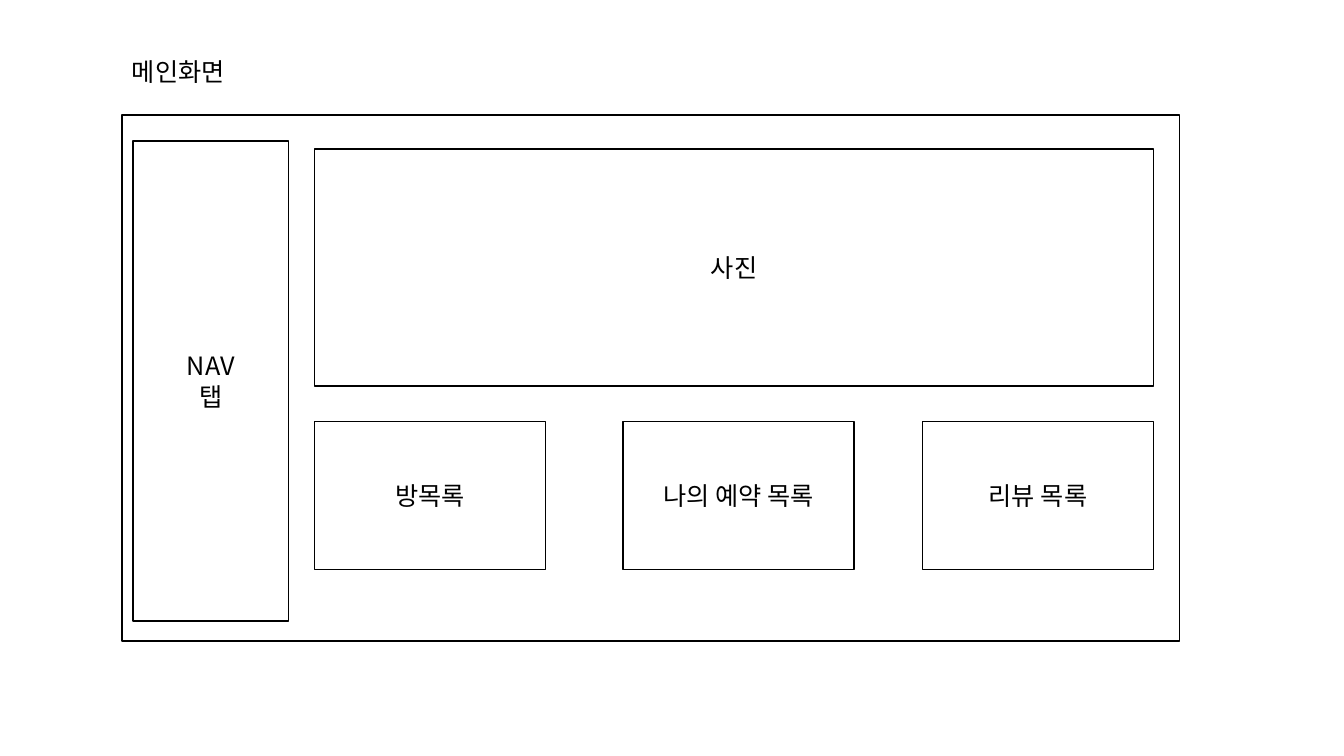
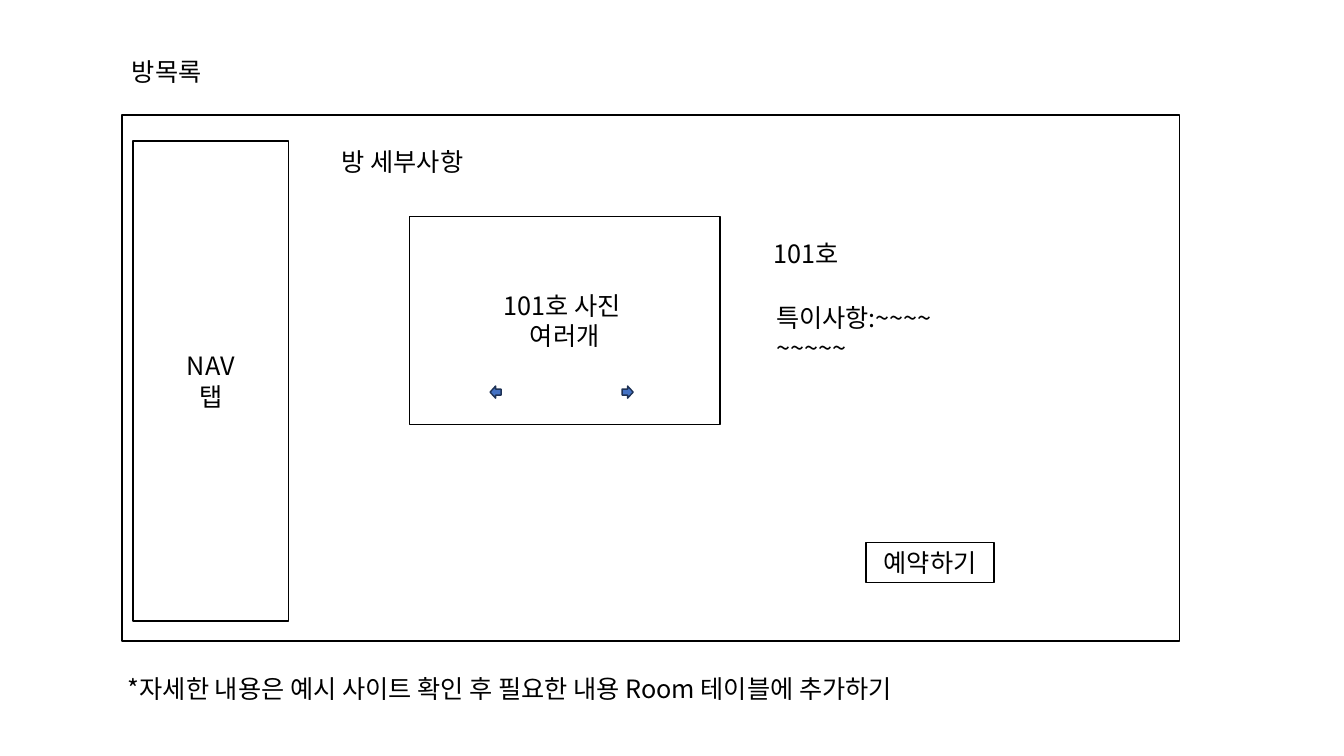
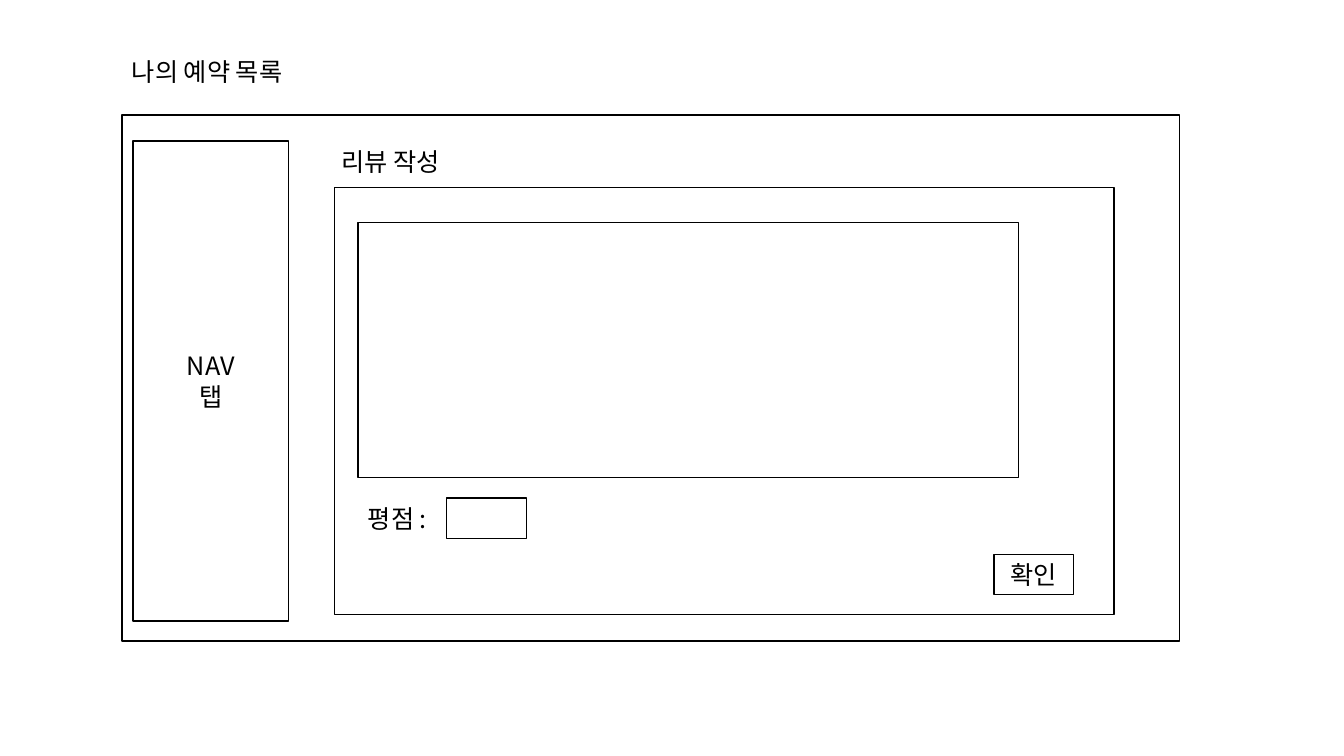
import pptx
import pptx.util
import pptx.dml.color
import pptx.enum.shapes
import pptx.enum.text
import pptx.oxml.ns
import lxml.etree

Inches = pptx.util.Inches
Pt = pptx.util.Pt
RGBColor = pptx.dml.color.RGBColor
SHAPE = pptx.enum.shapes.MSO_SHAPE
ALIGN = pptx.enum.text.PP_ALIGN
ANCHOR = pptx.enum.text.MSO_ANCHOR
FIT = pptx.enum.text.MSO_AUTO_SIZE

FONT = "Noto Sans CJK KR"
BLACK = RGBColor(0x00, 0x00, 0x00)
BLUE = RGBColor(0x44, 0x72, 0xC4)
NAVY = RGBColor(0x1E, 0x32, 0x56)

FRAME = (1.21, 1.14, 10.49, 5.22)
NAV = (1.32, 1.4, 1.54, 4.76)
ROW = 0.4

CARDS = [(3.12, "방목록"), (6.18, "나의 예약 목록"), (9.15, "리뷰 목록")]

PAGES = [
    {
        "title": ("메인화면", 1.21),
        "boxes": [((3.12, 1.48, 8.32, 2.35), ["사진"])]
        + [((x, 4.18, 2.29, 1.47), [name]) for x, name in CARDS],
    },
    {
        "title": ("방목록", 0.96),
        "boxes": [
            ((4.06, 2.15, 3.08, 2.06), ["101호 사진 ", "여러개"]),
            ((8.59, 5.38, 1.27, ROW), ["예약하기"]),
        ],
        "labels": [
            ((3.29, 1.4, 1.55, ROW), ["방 세부사항"], False),
            ((7.57, 2.32, 0.87, ROW), ["101호"], True),
            ((7.6, 2.95, 1.98, 0.71), ["특이사항:~~~~", "~~~~~"], False),
            ((1.17, 6.63, 8.69, ROW),
             ["*자세한 내용은 예시 사이트 확인 후 필요한 내용 Room 테이블에 추가하기"], False),
        ],
        "arrows": [(6.17, 0), (4.86, 180)],
    },
    {
        "title": ("나의 예약 목록", 1.9),
        "boxes": [
            ((3.32, 1.86, 7.73, 4.24), []),
            ((3.55, 2.21, 6.55, 2.53), []),
            ((9.86, 5.5, 0.79, ROW), ["확인"]),
            ((4.43, 4.94, 0.79, ROW), []),
        ],
        "labels": [
            ((3.29, 1.4, 1.3, ROW), ["리뷰 작성"], False),
            ((3.55, 4.94, 0.94, ROW), ["평점 :"], False),
        ],
    },
]


def write(frame, lines, align):
    for i, line in enumerate(lines):
        para = frame.paragraphs[0] if i == 0 else frame.add_paragraph()
        para.alignment = align
        run = para.add_run()
        run.text = line
        run.font.name = FONT
        run.font.size = Pt(18)
        run.font.color.rgb = BLACK
        east = lxml.etree.SubElement(
            run.font._element, pptx.oxml.ns.qn("a:ea"))
        east.set("typeface", FONT)


def draw(slide, kind, area, edge):
    shape = slide.shapes.add_shape(kind, *map(Inches, area))
    shape.shadow.inherit = False
    shape.fill.background()
    shape.line.color.rgb = edge
    shape.line.width = Pt(1)
    return shape


def box(slide, area, lines):
    shape = draw(slide, SHAPE.RECTANGLE, area, BLACK)
    shape.text_frame.vertical_anchor = ANCHOR.MIDDLE
    write(shape.text_frame, lines, ALIGN.CENTER)


def label(slide, area, lines, wrap=False):
    frame = slide.shapes.add_textbox(*map(Inches, area)).text_frame
    frame.word_wrap = wrap
    frame.auto_size = FIT.NONE if wrap else FIT.SHAPE_TO_FIT_TEXT
    write(frame, lines, ALIGN.LEFT)


def arrow(slide, left, turn):
    shape = draw(slide, SHAPE.RIGHT_ARROW, (left, 3.83, 0.11, 0.12), NAVY)
    shape.fill.solid()
    shape.fill.fore_color.rgb = BLUE
    shape.rotation = turn


def build(deck, page):
    slide = deck.slides.add_slide(deck.slide_layouts[6])
    title, width = page["title"]
    box(slide, FRAME, [])
    label(slide, (1.21, 0.51, width, ROW), [title])
    box(slide, NAV, ["NAV", "탭"])
    for area, lines in page["boxes"]:
        box(slide, area, lines)
    for area, lines, wrap in page.get("labels", []):
        label(slide, area, lines, wrap)
    for left, turn in page.get("arrows", []):
        arrow(slide, left, turn)


def main():
    deck = pptx.Presentation()
    deck.slide_width = Inches(13.33)
    deck.slide_height = Inches(7.5)
    for page in PAGES:
        build(deck, page)
    deck.save("out.pptx")


if __name__ == "__main__":
    main()
